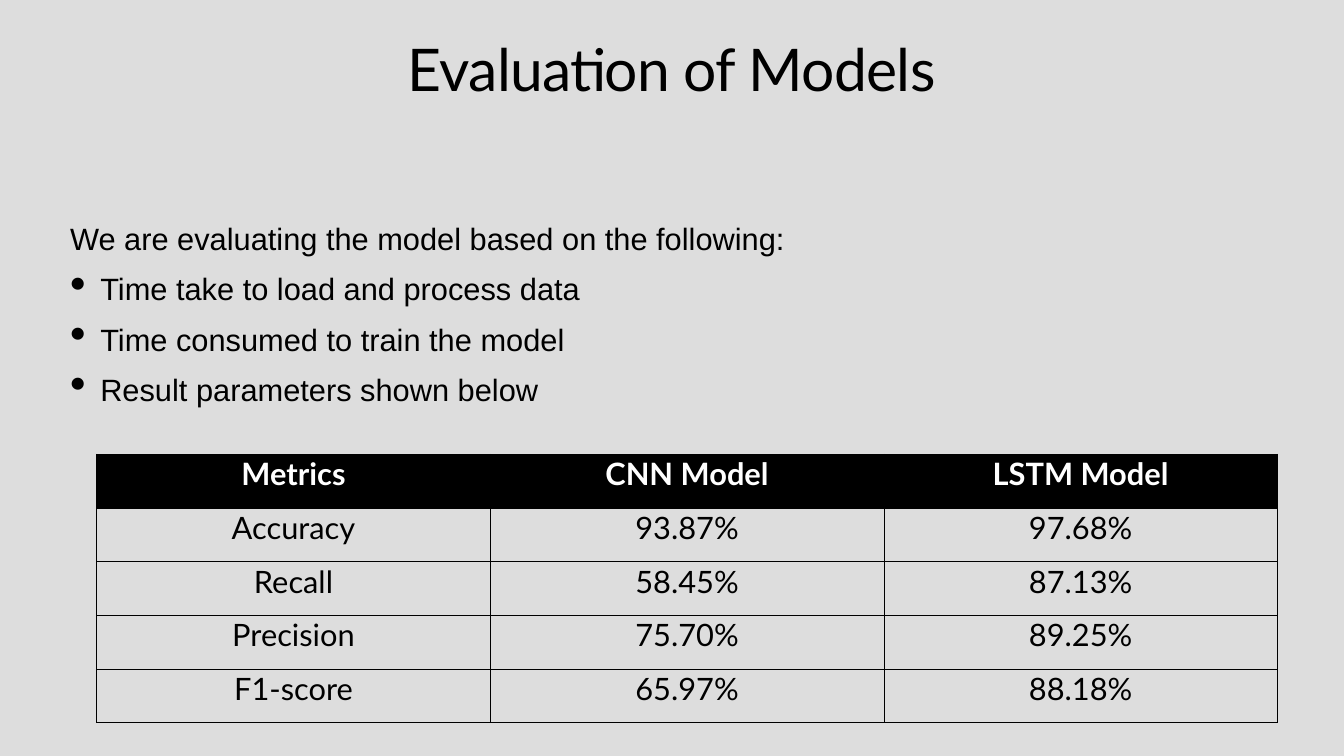
import pptx
import pptx.util
import pptx.dml.color
import pptx.enum.text
import pptx.oxml
import pptx.oxml.ns
from pptx.util import Inches

HUES = {"back": "DDDDDD", "ink": "000000", "head": "FFFFFF"}
RGB = pptx.dml.color.RGBColor.from_string
CENTER = pptx.enum.text.PP_ALIGN.CENTER
NS = pptx.oxml.ns.nsdecls("a")


def write(para, text, size, font, hue="ink", lead=0.9, bold=False):
    """Add one styled run to a paragraph and return it."""
    para.line_spacing = lead
    run = para.add_run()
    run.text = text
    run.font.size = pptx.util.Pt(size)
    run.font.name = font
    run.font.bold = bold
    run.font.color.rgb = RGB(HUES[hue])
    return run


def add_box(left, top, width, height):
    """Add a wrapping text box with narrow insets and return its frame."""
    box = slide.shapes.add_textbox(Inches(left), Inches(top), Inches(width), Inches(height))
    frame = box.text_frame
    frame.word_wrap = True
    frame.margin_left = frame.margin_right = Inches(0.06)
    frame.margin_top = frame.margin_bottom = Inches(0.06)
    return frame


deck = pptx.Presentation()
deck.slide_width = Inches(26.67)
deck.slide_height = Inches(15)
slide = deck.slides.add_slide(deck.slide_layouts[6])
slide.background.fill.solid()
slide.background.fill.fore_color.rgb = RGB(HUES["back"])

# Title
para = add_box(1.33, 0.85, 24, 1.89).paragraphs[0]
para.alignment = CENTER
run = write(para, "Evaluation of Models", 84, "Lato", lead=0.8)
run.font._element.set("spc", "-100")

# Criteria
frame = add_box(1.33, 4.39, 24, 9.28)
write(frame.paragraphs[0], "We are evaluating the model based on the following:", 44, "Arial")
points = [
    "Time take to load and process data",
    "Time consumed to train the model",
    "Result parameters shown below",
]
for point in points:
    para = frame.add_paragraph()
    props = para._p.get_or_add_pPr()
    props.set("marL", str(Inches(0.6)))
    props.set("indent", str(-Inches(0.6)))
    for bullet in ('<a:buSzPct {} val="150000"/>', '<a:buChar {} char="•"/>'):
        props.append(pptx.oxml.parse_xml(bullet.format(NS)))
    para.space_before = pptx.util.Pt(24)
    write(para, point, 44, "Arial")

# Results table
rows = [
    ("Metrics", "CNN Model", "LSTM Model"),
    ("Accuracy", "93.87%", "97.68%"),
    ("Recall", "58.45%", "87.13%"),
    ("Precision", "75.70%", "89.25%"),
    ("F1-score", "65.97%", "88.18%"),
]
grid = slide.shapes.add_table(
    len(rows), 3, Inches(1.92), Inches(9.01), Inches(23.43), Inches(5.33)
).table
grid.first_row = grid.horz_banding = False

for r, row in enumerate(rows):
    for c, text in enumerate(row):
        cell = grid.cell(r, c)
        cell.margin_top = Inches(0.1)
        props = cell._tc.get_or_add_tcPr()
        for side in "LRTB":
            props.append(pptx.oxml.parse_xml(
                f'<a:ln{side} {NS} w="12700"><a:solidFill>'
                f'<a:srgbClr val="{HUES["ink"]}"/></a:solidFill></a:ln{side}>'
            ))
        if r == 0:
            cell.fill.solid()
            cell.fill.fore_color.rgb = RGB(HUES["ink"])
        else:
            cell.fill.background()
        para = cell.text_frame.paragraphs[0]
        para.alignment = CENTER
        write(para, text, 44, "Lato", hue="ink" if r else "head", bold=r == 0)

deck.save("out.pptx")
